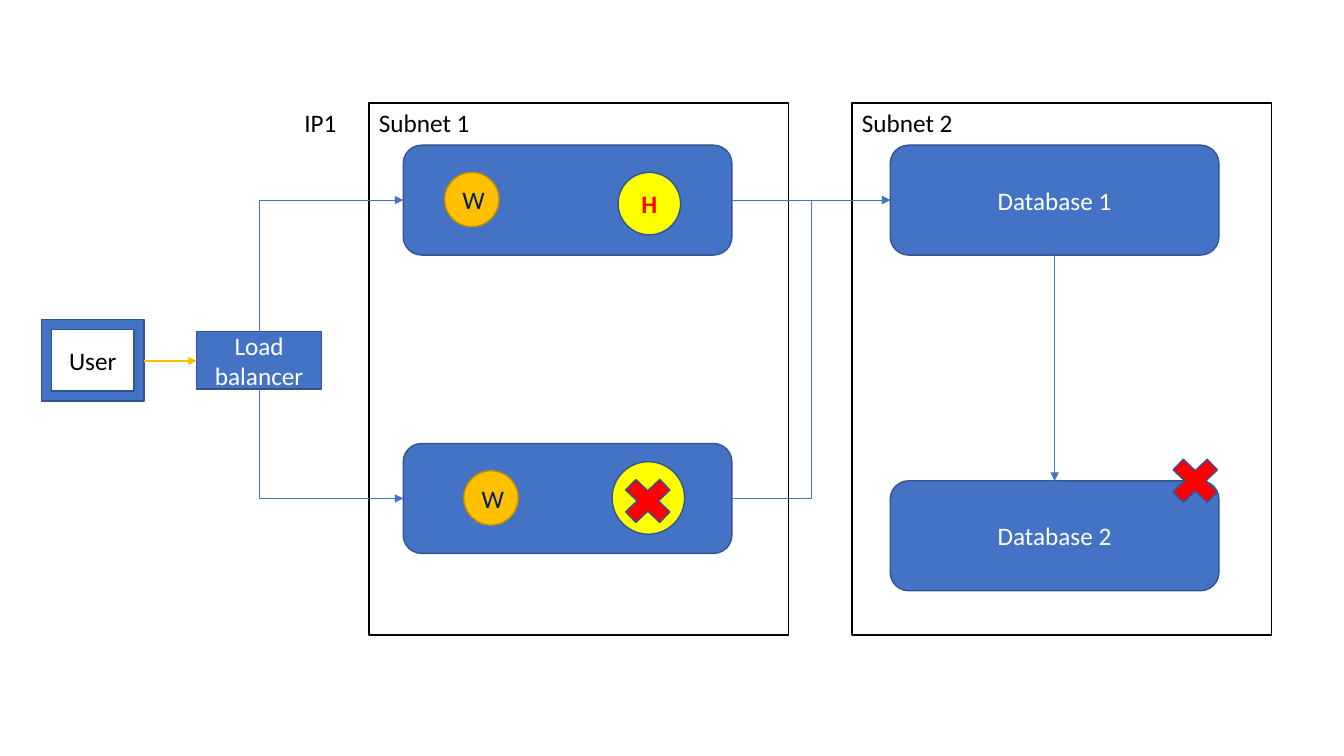
from pptx import Presentation
from pptx.dml.color import RGBColor
from pptx.enum.shapes import MSO_CONNECTOR as LINK, MSO_SHAPE as FORM
from pptx.enum.text import MSO_ANCHOR, PP_ALIGN
from pptx.oxml.ns import qn
from pptx.util import Inches, Pt

BLACK = RGBColor(0x00, 0x00, 0x00)
WHITE = RGBColor(0xFF, 0xFF, 0xFF)
BLUE = RGBColor(0x44, 0x72, 0xC4)
EDGE = RGBColor(0x32, 0x54, 0x91)
NAVY = RGBColor(0x00, 0x20, 0x60)
GOLD = RGBColor(0xFF, 0xC0, 0x00)
BROWN = RGBColor(0xBD, 0x8E, 0x00)
YELLOW = RGBColor(0xFF, 0xFF, 0x00)
RED = RGBColor(0xFF, 0x00, 0x00)


class Board:
    """A slide on a grid whose columns and rows are a tenth of an inch."""

    font = "Calibri"
    size = Pt(18)

    def __init__(self, slide):
        self.shapes = slide.shapes

    def grid(self, *cells):
        return [Inches(cell / 10) for cell in cells]

    def letter(self, frame, text, color, align, bold=False):
        frame.text = text
        para = frame.paragraphs[0]
        para.alignment = align
        for run in para.runs:
            run.font.name = self.font
            run.font.size = self.size
            run.font.bold = bold
            run.font.color.rgb = color

    def shape(self, form, box, fill=BLUE, edge=EDGE):
        item = self.shapes.add_shape(form, *self.grid(*box))
        item.shadow.inherit = False
        if fill is None:
            item.fill.background()
        else:
            item.fill.solid()
            item.fill.fore_color.rgb = fill
        item.line.color.rgb = edge
        item.line.width = Pt(1)
        return item

    def node(self, form, box, text, color=WHITE, bold=False, **style):
        """Add a shape with its text in the middle."""
        frame = self.shape(form, box, **style).text_frame
        frame.vertical_anchor = MSO_ANCHOR.MIDDLE
        self.letter(frame, text, color, PP_ALIGN.CENTER, bold)

    def zone(self, box, text):
        """Add an outlined area titled in its top left corner."""
        frame = self.shape(FORM.RECTANGLE, box, fill=None, edge=BLACK).text_frame
        frame.vertical_anchor = MSO_ANCHOR.TOP
        self.letter(frame, text, BLACK, PP_ALIGN.LEFT)

    def label(self, box, text):
        frame = self.shapes.add_textbox(*self.grid(*box)).text_frame
        frame.word_wrap = True
        self.letter(frame, text, BLACK, PP_ALIGN.LEFT)

    def arrow(self, kind, start, end, color=BLUE, width=0.5):
        link = self.shapes.add_connector(kind, *self.grid(*start, *end))
        link.line.color.rgb = color
        link.line.width = Pt(width)
        props = link._element.spPr
        line = props.find(qn("a:ln"))
        line.append(line.makeelement(qn("a:tailEnd"), {"type": "triangle"}))
        props.append(props.makeelement(qn("a:effectLst"), {}))
        return link

    def corner(self, start, end):
        """Add an arrow that runs up or down first and then to the right."""
        (x1, y1), (x2, y2) = start, end
        midx, midy = (x1 + x2) / 2, (y1 + y2) / 2
        # A quarter turn swaps width and height around the middle.
        wide, high = (y1 - y2) / 2, (x2 - x1) / 2
        link = self.arrow(LINK.ELBOW, (midx - wide, midy - high),
                          (midx + wide, midy + high))
        props = link._element.spPr
        props.find(qn("a:xfrm")).set("rot", str(270 * 60000))
        props.find(qn("a:prstGeom")).set("prst", "bentConnector2")


def main():
    deck = Presentation()
    deck.slide_width, deck.slide_height = Inches(13.33), Inches(7.5)
    board = Board(deck.slides.add_slide(deck.slide_layouts[6]))

    wide, high = 32.6, 10.9
    left, right = 40, 88.3
    top, low, base = 14.4, 44, 47.7
    mid = high / 2

    for num, col in enumerate((36.6, 84.5), 1):
        board.zone((col, 10.2, 41.6, 52.8), f"Subnet {num}")
    for row in (top, low):
        board.shape(FORM.ROUNDED_RECTANGLE, (left, row, wide, high))
    for num, row in enumerate((top, base), 1):
        board.node(FORM.ROUNDED_RECTANGLE, (right, row, wide, high),
                   f"Database {num}")
    for col, row in ((44.1, top), (46, low)):
        board.node(FORM.OVAL, (col, row + 2.7, 5.4, 5.4), "W", NAVY,
                   fill=GOLD, edge=BROWN)

    board.node(FORM.FRAME, (4.1, 31.7, 10.2, 8.1), "User", BLACK)
    board.label((29.2, 10.2, 7.4, 4), "IP1")
    board.node(FORM.RECTANGLE, (19.5, 32.9, 12.4, 5.7), "Load balancer")

    board.arrow(LINK.STRAIGHT, (14.3, 35.8), (19.5, 35.8), GOLD, 1.5)
    for edge, row in ((32.9, top), (38.6, low)):
        board.corner((25.7, edge), (left, row + mid))
    for row in (top, low):
        board.arrow(LINK.ELBOW, (left + wide, row + mid), (right, top + mid))
    heart = right + wide / 2
    board.arrow(LINK.STRAIGHT, (heart, top + high), (heart, base))

    board.node(FORM.OVAL, (61.3, 17.1, 6.2, 6.2), "H", RED, True, fill=YELLOW)
    board.shape(FORM.OVAL, (60.7, 45.8, 7.2, 7.2), fill=YELLOW)
    for col, row in ((115.3, 44.6), (61, 46.6)):
        board.shape(FORM.MATH_MULTIPLY, (col, row, 6.5, 6.2), fill=RED)

    deck.save("out.pptx")


if __name__ == "__main__":
    main()
